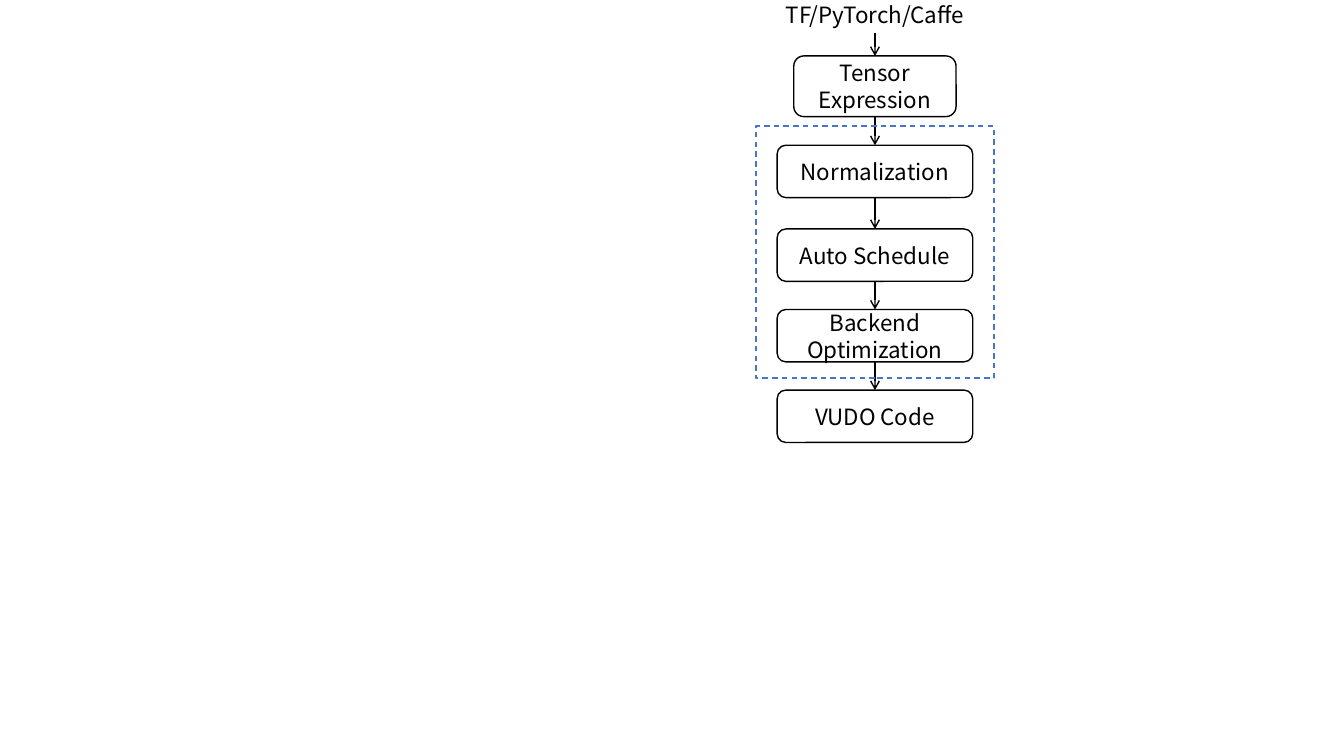
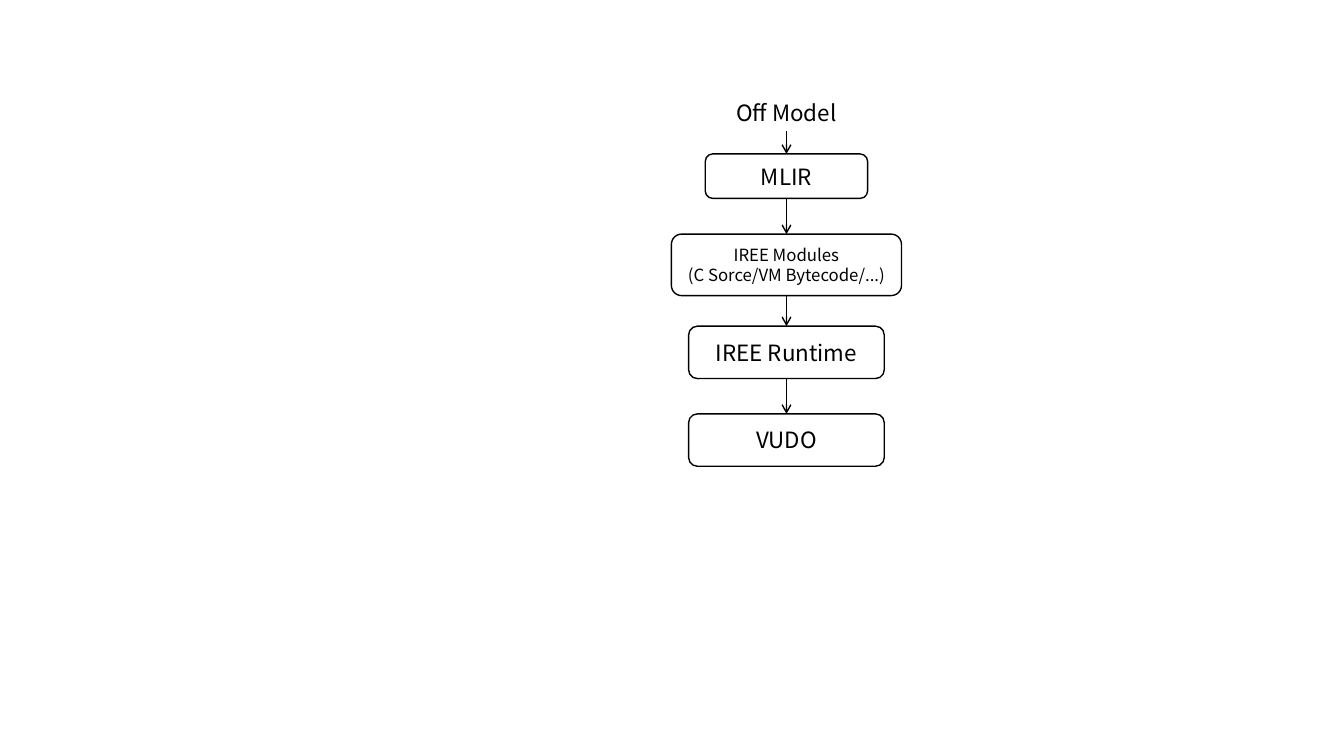
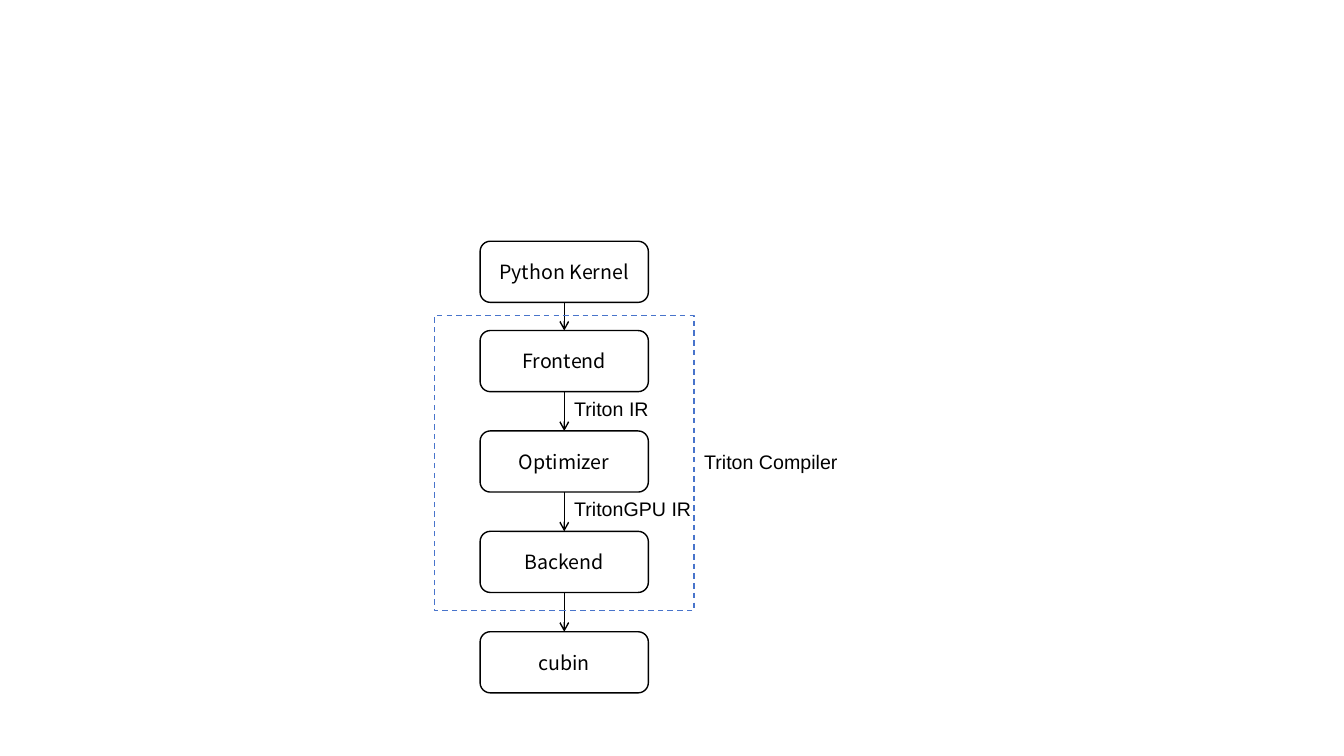
import pptx
import pptx.util
import pptx.dml.color
import pptx.enum.dml
import pptx.enum.shapes
import pptx.enum.text
from lxml import etree
from pptx.oxml.ns import qn

Cm = pptx.util.Cm
Pt = pptx.util.Pt
RGBColor = pptx.dml.color.RGBColor
SHAPE = pptx.enum.shapes.MSO_SHAPE
ALIGN = pptx.enum.text.PP_ALIGN
ANCHOR = pptx.enum.text.MSO_ANCHOR

BLACK = RGBColor(0x00, 0x00, 0x00)
WHITE = RGBColor(0xFF, 0xFF, 0xFF)
BLUE = RGBColor(0x48, 0x74, 0xCB)
NODE_FONT = "Noto Sans CJK SC"
NOTE_FONT = "Arial"
LABEL_WIDTH, LABEL_HEIGHT = 6.73, 0.93
NOTE_HEIGHT = 0.86


def set_all(target, values):
    for name, value in values.items():
        setattr(target, name, value)


def write_text(shape, lines, size, font=NODE_FONT, align=ALIGN.CENTER, anchor=ANCHOR.MIDDLE):
    """Fill a shape with one paragraph per line."""
    frame = shape.text_frame
    set_all(frame, {"word_wrap": True, "vertical_anchor": anchor})
    frame.text = lines
    for para in frame.paragraphs:
        para.alignment = align
        for span in para.runs:
            set_all(span.font, {"name": font, "size": Pt(size)})
            span.font.color.rgb = BLACK


def add_text(page, box, text, size, **style):
    label = page.shapes.add_textbox(*map(Cm, box))
    write_text(label, text, size, anchor=ANCHOR.TOP, **style)


def add_node(page, box, text, size):
    node = page.shapes.add_shape(SHAPE.ROUNDED_RECTANGLE, *map(Cm, box))
    node.shadow.inherit = False
    node.fill.solid()
    node.fill.fore_color.rgb = WHITE
    node.line.color.rgb = BLACK
    node.line.width = Pt(1)
    write_text(node, text, size)


def add_arrow(page, center, start, end):
    """Draw a vertical arrow pointing down."""
    arrow = page.shapes.add_connector(
        pptx.enum.shapes.MSO_CONNECTOR.STRAIGHT, Cm(center), Cm(start), Cm(center), Cm(end))
    arrow.line.color.rgb = BLACK
    arrow.line.width = Pt(1)
    etree.SubElement(arrow.line._get_or_add_ln(), qn("a:tailEnd"), type="arrow")
    etree.SubElement(arrow._element.spPr, qn("a:effectLst"))


def add_frame(page, box):
    """Outline a group of stages with a dashed rectangle."""
    frame = page.shapes.add_shape(SHAPE.RECTANGLE, *map(Cm, box))
    frame.shadow.inherit = False
    frame.fill.background()
    frame.line.color.rgb = BLUE
    set_all(frame.line, {"width": Pt(1), "dash_style": pptx.enum.dml.MSO_LINE.DASH})


def add_flow(page, center, top, stages, label=None):
    """Stack stages (text, offset, width, height, size) below top, joined by arrows."""
    bottom = None
    if label:
        add_text(page, (center - LABEL_WIDTH / 2, top, LABEL_WIDTH, LABEL_HEIGHT), label, 16)
        bottom = top + LABEL_HEIGHT
    for text, offset, width, height, size in stages:
        start = top + offset
        if bottom is not None:
            add_arrow(page, center, bottom, start)
        add_node(page, (center - width / 2, start, width, height), text, size)
        bottom = start + height


def tensor_slide(page, center, top):
    names = ("Normalization", "Auto Schedule", "Backend Optimization", "VUDO Code")
    offsets = (3.76, 5.87, 7.9, 9.93)
    stages = [("Tensor Expression", 1.51, 4.09, 1.53, 16)]
    stages += [(name, offset, 4.93, 1.32, 16) for name, offset in zip(names, offsets)]
    add_flow(page, center, top, stages, "TF/PyTorch/Caffe")
    add_frame(page, (center - 3, top + 3.28, 6, 6.35))


def runtime_slide(page, center, top):
    stages = [
        ("MLIR", 1.51, 4.09, 1.12, 16),
        ("IREE Modules\n(C Sorce/VM Bytecode/...)", 3.53, 5.8, 1.55, 12),
        ("IREE Runtime", 5.85, 4.93, 1.32, 16),
        ("VUDO", 8.06, 4.93, 1.32, 16),
    ]
    add_flow(page, center, top, stages, "Off Model")


def kernel_slide(page, center, top):
    width, height, first, pitch = 4.24, 1.54, 2.25, 2.53
    names = ("Frontend", "Optimizer", "Backend", "cubin")
    stages = [("Python Kernel", 0, width, height, 14)]
    stages += [(name, first + index * pitch, width, height, 14)
               for index, name in enumerate(names)]
    add_flow(page, center, top, stages)

    # Compiler outline and the notes beside the arrows
    frame_width = 6.55
    add_frame(page, (center - frame_width / 2, top + 1.87, frame_width, 7.44))
    notes = [
        ("Triton IR", 0, first + height, 2.95),
        ("TritonGPU IR", 0, first + height + pitch, 4.01),
        ("Triton Compiler", frame_width / 2, 5.14, 4.01),
    ]
    for text, shift, offset, note_width in notes:
        add_text(page, (center + shift, top + offset, note_width, NOTE_HEIGHT), text, 14,
                 font=NOTE_FONT, align=ALIGN.LEFT)


def main():
    deck = pptx.Presentation()
    set_all(deck, {"slide_width": Cm(33.87), "slide_height": Cm(19.05)})
    slides = [(tensor_slide, 22.05, -0.1), (runtime_slide, 19.82, 2.37), (kernel_slide, 14.22, 6.08)]
    for build, center, top in slides:
        build(deck.slides.add_slide(deck.slide_layouts[6]), center, top)
    deck.save("out.pptx")


if __name__ == "__main__":
    main()
